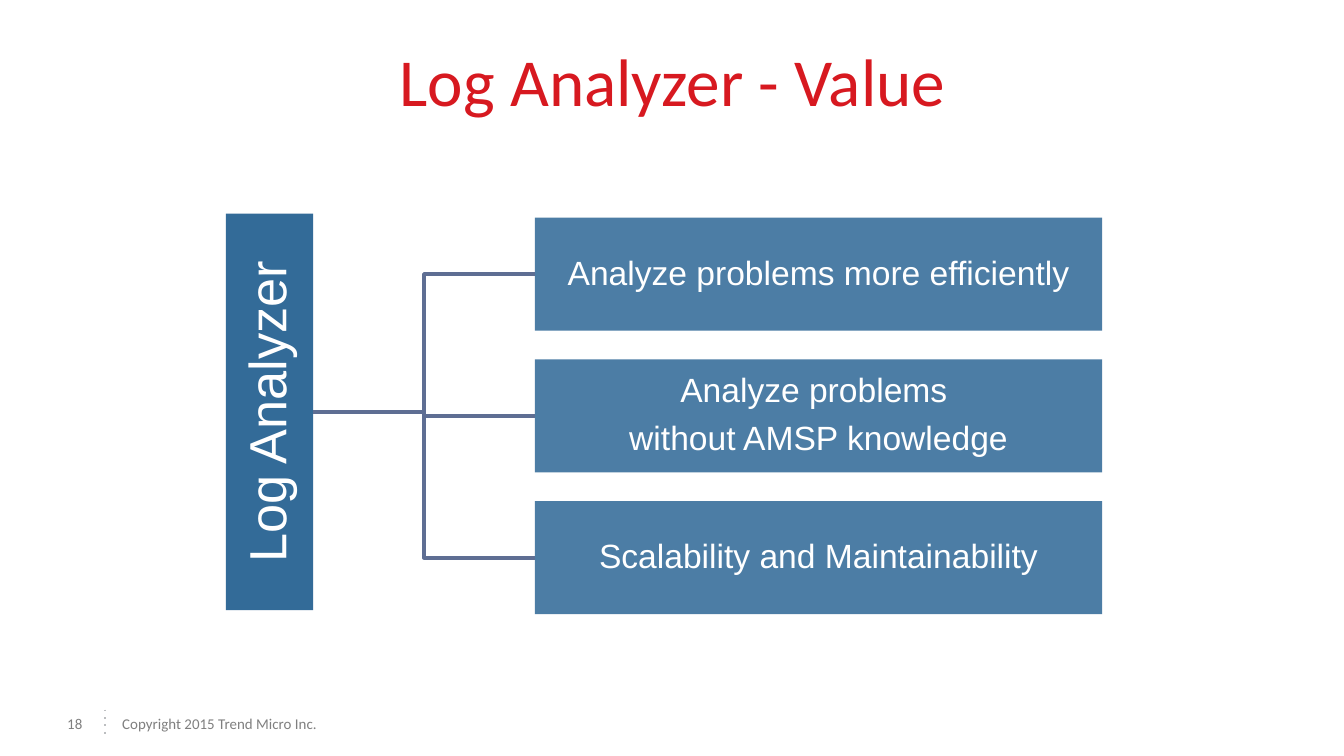
import dataclasses

import lxml.etree
import pptx
import pptx.dml.color
import pptx.enum.dml
import pptx.enum.shapes
import pptx.enum.text
import pptx.oxml.ns
import pptx.util

Inches = pptx.util.Inches
Pt = pptx.util.Pt
qn = pptx.oxml.ns.qn
Align = pptx.enum.text.PP_ALIGN
Anchor = pptx.enum.text.MSO_ANCHOR
Link = pptx.enum.shapes.MSO_CONNECTOR


@dataclasses.dataclass(frozen=True)
class Theme:
    """Hold the colours, fonts and type sizes."""
    red: str = "D71920"
    blue: str = "00467F"
    slate: str = "5E6E93"
    grey: str = "7F7F7F"
    pale: str = "BCBEC0"
    white: str = "FFFFFF"
    head: str = "Calibri"
    body: str = "Arial"
    title: int = 36
    root: int = 28
    leaf: int = 18
    foot: int = 8


THEME = Theme()


def rgb(code):
    """Turn a hex code into a colour."""
    return pptx.dml.color.RGBColor.from_string(code)


def write(frame, text, face, size, hue, align, anchor, inset=0):
    """Fill a text frame and format its runs."""
    frame.text = text
    frame.word_wrap = True
    frame.auto_size = pptx.enum.text.MSO_AUTO_SIZE.NONE
    frame.vertical_anchor = anchor
    frame.margin_left = frame.margin_right = Inches(inset)
    frame.margin_top = frame.margin_bottom = Inches(inset)
    for para in frame.paragraphs:
        para.alignment = align
        for run in para.runs:
            run.font.name = face
            run.font.size = Pt(size)
            run.font.color.rgb = rgb(hue)


def add_line(slide, kind, ends, hue, width):
    """Draw a connector without a shadow."""
    line = slide.shapes.add_connector(kind, *map(Inches, ends))
    line.line.color.rgb = rgb(hue)
    line.line.width = Pt(width)
    props = line._element.spPr
    lxml.etree.SubElement(props, qn("a:effectLst"))
    return line


def add_block(slide, box, text, size, alpha, inset):
    """Draw a translucent block with centred text."""
    kind = pptx.enum.shapes.MSO_SHAPE.RECTANGLE
    block = slide.shapes.add_shape(kind, *map(Inches, box))
    block.shadow.inherit = False
    block.line.fill.background()
    block.fill.solid()
    block.fill.fore_color.rgb = rgb(THEME.blue)
    tint = block._element.spPr.find(".//" + qn("a:srgbClr"))
    lxml.etree.SubElement(tint, qn("a:alpha"), val=str(alpha * 1000))
    frame = block.text_frame
    write(frame, text, THEME.body, size, THEME.white,
          Align.CENTER, Anchor.MIDDLE, inset)
    for para in frame.paragraphs:
        para.line_spacing = 0.9
    for para in frame.paragraphs[:-1]:
        para.space_after = Pt(6.3)
    return block


def add_title(slide, box, text):
    """Place and format the title."""
    title = slide.shapes.title
    title.left, title.top, title.width, title.height = map(Inches, box)
    write(title.text_frame, text, THEME.head, THEME.title, THEME.red,
          Align.CENTER, Anchor.BOTTOM)
    title.text_frame.margin_bottom = Inches(0.1)


def add_tree(slide, box, name, items):
    """Draw an upright root joined to a column of blocks."""
    left, top, width, height = box
    thick, indent, tall, drop = 0.65, 2.3, 0.84, 0.03
    root = add_block(slide, (left, top, thick, height - drop), name,
                     THEME.root, 80, 0.02)
    root.text_frame._txBody.bodyPr.set("vert", "vert270")
    step = (height - drop - tall) / (len(items) - 1)
    for row, item in enumerate(items):
        place = (left + indent, top + drop + row * step,
                 width - indent, tall)
        leaf = add_block(slide, place, item, THEME.leaf, 70, 0.01)
        ends = (left + thick, top + (height - drop) / 2,
                place[0], place[1] + tall / 2)
        link = add_line(slide, Link.ELBOW, ends, THEME.slate, 2)
        link.begin_connect(root, 3)
        link.end_connect(leaf, 1)


def add_foot(slide, box, page, note):
    """Place the page number, dotted rule and copyright line."""
    left, top, width, height = box
    rule = left + 0.28
    line = add_line(slide, Link.STRAIGHT,
                    (rule, top + 0.05, rule, top + 0.25), THEME.pale, 1)
    line.line.dash_style = pptx.enum.dml.MSO_LINE.ROUND_DOT
    line._element.spPr.find(".//" + qn("a:prstDash")).set("val", "dot")
    parts = ((0, 0.25, page), (0.41, width - 0.41, note))
    for shift, wide, text in parts:
        label = slide.shapes.add_textbox(
            *map(Inches, (left + shift, top, wide, height)))
        write(label.text_frame, text, THEME.head, THEME.foot, THEME.grey,
              Align.LEFT, Anchor.MIDDLE)


def main():
    """Build and save the slide."""
    deck = pptx.Presentation()
    deck.slide_width = Inches(10)
    deck.slide_height = deck.slide_width * 9 // 16
    slide = deck.slides.add_slide(deck.slide_layouts[5])
    add_title(slide, (0.63, 0.41, 8.75, 0.58), "Log Analyzer - Value")
    add_tree(slide, (1.68, 1.59, 6.52, 2.98), "Log Analyzer", (
        "Analyze problems more efficiently",
        "Analyze problems \nwithout AMSP knowledge",
        "Scalability and Maintainability"))
    add_foot(slide, (0.5, 5.23, 2.08, 0.31), "18",
             "Copyright 2015 Trend Micro Inc.")
    deck.save("out.pptx")


if __name__ == "__main__":
    main()
